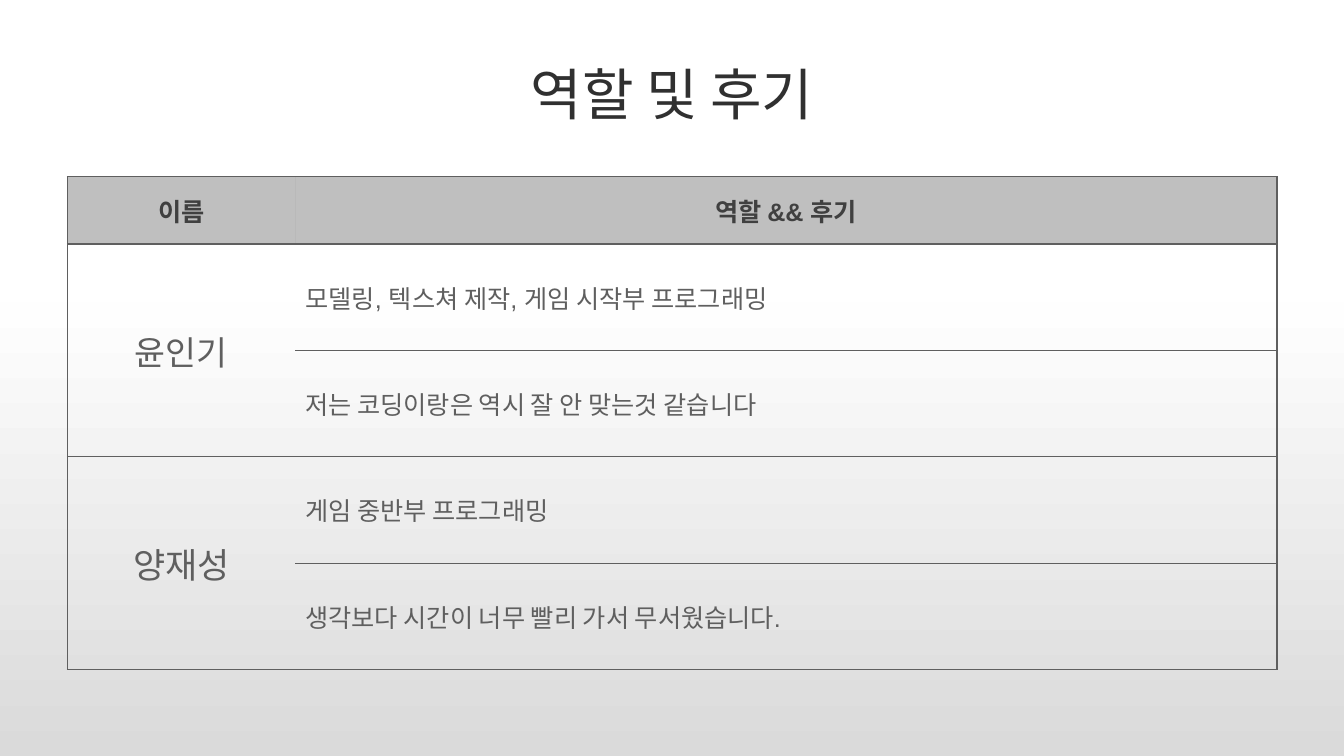
from lxml import etree
from pptx import Presentation
from pptx import util as u
from pptx.dml.color import RGBColor
from pptx.enum import text
from pptx.oxml import ns

TITLE = "역할 및 후기"
HEADERS = ("이름", "역할 && 후기")
MEMBERS = [
    ("윤인기", 24, ("모델링, 텍스쳐 제작, 게임 시작부 프로그래밍",
                 "저는 코딩이랑은 역시 잘 안 맞는것 같습니다")),
    ("양재성", 25, ("게임 중반부 프로그래밍",
                 "생각보다 시간이 너무 빨리 가서 무서웠습니다.")),
]
BACKGROUND_STOPS = [(0, "FFFFFF"), (40, "FEFEFE"), (100, "DADADA")]

FONT = "Arial"
TITLE_COLOR = RGBColor(0x30, 0x30, 0x30)
HEADER_COLOR = RGBColor(0x40, 0x40, 0x40)
GRAY = RGBColor(0x5F, 0x5F, 0x5F)
NO_GRID_STYLE = "{2D5ABB26-0587-4C30-8999-92F81FD0307C}"

LEFT, WIDTH = 1.7, 30.48
NAME_WIDTH = 5.74
HEADER_HEIGHT, ROW_HEIGHT = 1.7, 2.68


def add_xml(parent, tag, **attrs):
    return etree.SubElement(parent, ns.qn(tag), attrs)


def write(tf, content, size=18, color=GRAY, bold=False, align=text.PP_ALIGN.LEFT):
    tf.word_wrap = True
    p = tf.paragraphs[0]
    p.alignment = align
    r = p.add_run()
    r.text = content
    r.font.name = FONT
    r.font.size = u.Pt(size)
    r.font.bold = bold
    r.font.color.rgb = color


def set_borders(cell, sides):
    tc_pr = cell._tc.get_or_add_tcPr()
    for i, side in enumerate(sides):
        ln = add_xml(tc_pr, f"a:ln{side}", w=str(u.Pt(1)))
        add_xml(add_xml(ln, "a:solidFill"), "a:srgbClr", val=str(GRAY))
        tc_pr.insert(i, ln)


def paint_background(s):
    fill = s.background.fill
    fill.gradient()
    fill.gradient_angle = 270
    stops = s._element.xpath(".//a:gsLst")[0]
    for stop in list(stops):
        stops.remove(stop)
    for position, color in BACKGROUND_STOPS:
        gs = add_xml(stops, "a:gs", pos=str(position * 1000))
        add_xml(gs, "a:srgbClr", val=color)


def add_title(s):
    box = s.shapes.add_textbox(u.Cm(LEFT), u.Cm(0.76), u.Cm(WIDTH), u.Cm(3.18))
    box.text_frame.vertical_anchor = text.MSO_ANCHOR.MIDDLE
    write(box.text_frame, TITLE, size=40, color=TITLE_COLOR, align=text.PP_ALIGN.CENTER)


def add_roles_table(s):
    row_count = 1 + sum(len(notes) for _, _, notes in MEMBERS)
    height = HEADER_HEIGHT + ROW_HEIGHT * (row_count - 1)
    table = s.shapes.add_table(row_count, 2, u.Cm(LEFT), u.Cm(4.45),
                               u.Cm(WIDTH), u.Cm(height)).table
    table.first_row = table.horz_banding = False
    table._tbl.tblPr.find(ns.qn("a:tableStyleId")).text = NO_GRID_STYLE
    for col, width in zip(table.columns, (NAME_WIDTH, WIDTH - NAME_WIDTH)):
        col.width = u.Cm(width)
    for i, row in enumerate(table.rows):
        row.height = u.Cm(ROW_HEIGHT if i else HEADER_HEIGHT)
        for cell in row.cells:
            cell.vertical_anchor = text.MSO_ANCHOR.MIDDLE
            cell.fill.background()

    for col, header in enumerate(HEADERS):
        cell = table.cell(0, col)
        cell.fill.solid()
        cell.fill.fore_color.rgb = GRAY
        add_xml(cell._tc.tcPr.xpath("./a:solidFill/a:srgbClr")[0], "a:alpha", val="40000")
        write(cell.text_frame, header, color=HEADER_COLOR, bold=True,
              align=text.PP_ALIGN.CENTER)
        set_borders(cell, "RTB" if col else "LTB")

    top = 1
    for name, size, notes in MEMBERS:
        name_cell = table.cell(top, 0)
        name_cell.merge(table.cell(top + len(notes) - 1, 0))
        write(name_cell.text_frame, name, size=size, align=text.PP_ALIGN.CENTER)
        for i, note in enumerate(notes):
            note_cell = table.cell(top + i, 1)
            write(note_cell.text_frame, note)
            set_borders(note_cell, "RTB")
            set_borders(table.cell(top + i, 0), "LB" if i else "LTB")
        top += len(notes)


def main():
    prs = Presentation()
    prs.slide_width, prs.slide_height = u.Cm(33.87), u.Cm(19.05)
    s = prs.slides.add_slide(prs.slide_layouts[6])
    paint_background(s)
    add_title(s)
    add_roles_table(s)
    prs.save("out.pptx")


if __name__ == "__main__":
    main()
